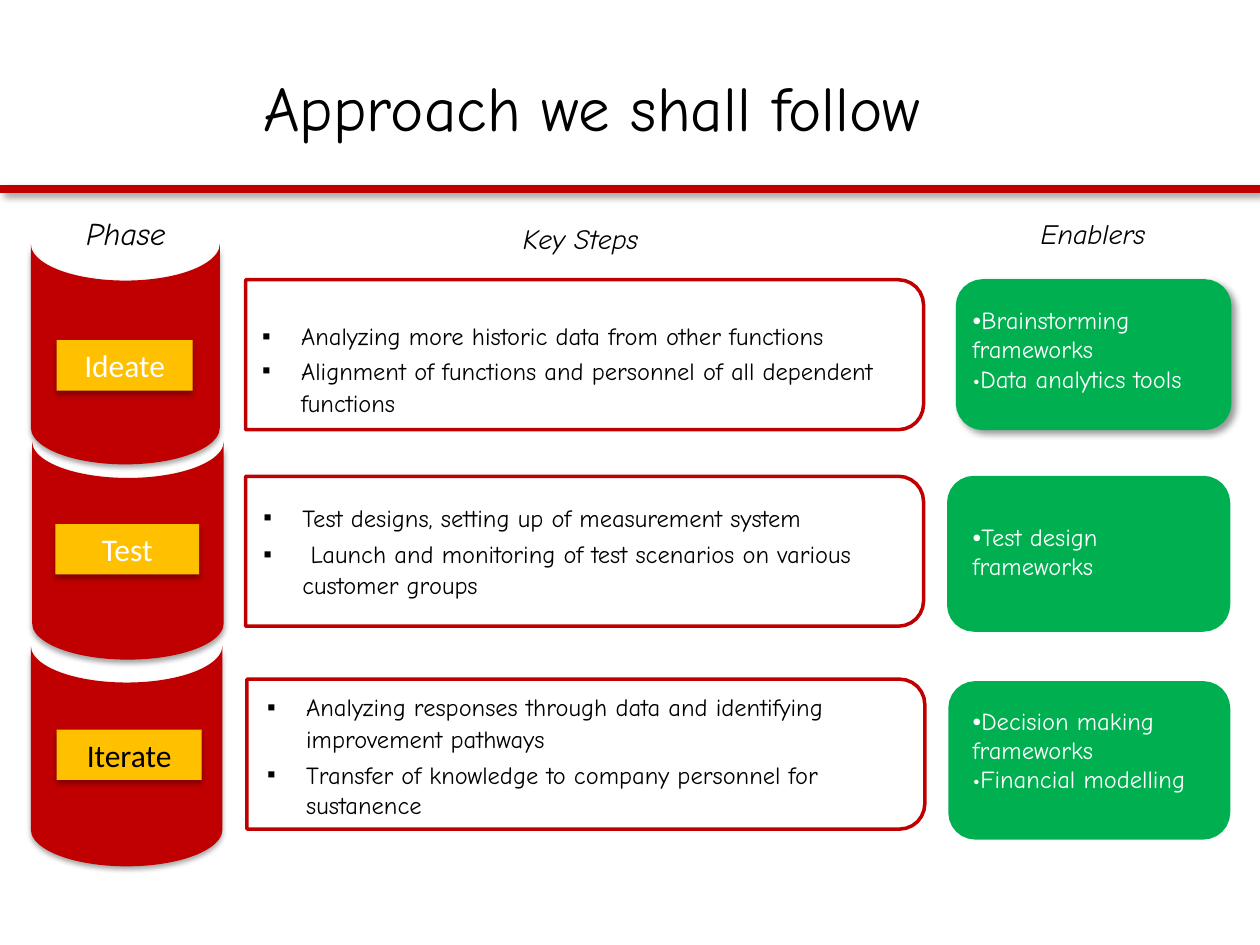
import math
from dataclasses import dataclass

import pptx
import pptx.dml.color
import pptx.enum.shapes
import pptx.enum.text
import pptx.oxml
import pptx.oxml.ns
import pptx.util
from pptx.util import Inches

RED, GREEN, AMBER, WHITE, BLACK = "C00000", "00B050", "FFC000", "FFFFFF", "000000"
HAND, PLAIN = "Comic Neue", "Calibri"
SHAPES = pptx.enum.shapes.MSO_SHAPE
ALIGN = pptx.enum.text.PP_ALIGN
ANCHOR = pptx.enum.text.MSO_ANCHOR


@dataclass
class Box:
    left: float
    top: float
    width: float
    height: float

    def lengths(self):
        return [Inches(v) for v in (self.left, self.top, self.width, self.height)]


@dataclass
class Shadow:
    alpha: int
    blur: float
    distance: float
    angle: int


@dataclass
class Step:
    text: str
    before: float
    spacing: float | None = None


@dataclass
class StepList:
    box: Box
    inset: float
    steps: list[Step]


@dataclass
class Phase:
    name: str
    name_color: str
    cylinder: Box
    label: Box
    outline: Box
    enabler: Box
    enabler_text: Box
    enabler_lines: list[str]
    enabler_shadow: Shadow | None = None


SOFT = Shadow(40, 4, 3, 45)
CYLINDER_SHADOW = Shadow(35, 3.1, 1.8, 90)
LABEL_SHADOW = Shadow(32, 3.5, 2.2, 90)

PHASES = [
    Phase("Ideate", WHITE, Box(0.12, 2.06, 1.75, 1.5), Box(0.45, 2.7, 1.08, 0.4),
          Box(1.95, 2.22, 5.38, 1.19), Box(7.6, 2.23, 2.16, 1.17), Box(7.72, 2.41, 1.99, 0.72),
          ["Brainstorming", "frameworks", "•Data analytics tools"], SOFT),
    Phase("Test", WHITE, Box(0.15, 3.61, 1.73, 1.52), Box(0.44, 4.16, 1.14, 0.4),
          Box(1.95, 3.78, 5.38, 1.19), Box(7.53, 3.79, 2.22, 1.21), Box(7.72, 4.13, 1.85, 0.49),
          ["Test design", "frameworks"]),
    Phase("Iterate", BLACK, Box(0.13, 5.24, 1.75, 1.52), Box(0.45, 5.79, 1.15, 0.4),
          Box(1.96, 5.39, 5.38, 1.19), Box(7.54, 5.42, 2.21, 1.23), Box(7.72, 5.59, 1.99, 0.72),
          ["Decision making", "frameworks", "•Financial modelling"]),
]

STEP_LISTS = [
    StepList(Box(2.06, 2.52, 5.3, 0.77), 0.03, [
        Step("Analyzing more historic data from other functions", 2.3),
        Step("Alignment of functions and personnel of all dependent functions", 1.3, 18.4)]),
    StepList(Box(2.07, 3.96, 5.11, 0.8), 0.03, [
        Step("Test designs, setting up of measurement system", 2.3),
        Step(" Launch and monitoring of test scenarios on various customer groups", 3.3, 17.5)]),
    StepList(Box(2.1, 5.46, 5.07, 0.5), 0.01, [
        Step("Analyzing responses through data and identifying improvement pathways", 0.9, 18.4)]),
    StepList(Box(2.1, 5.98, 5.07, 0.55), 0.04, [
        Step("Transfer of knowledge to company personnel for sustanence", 3, 17.5)]),
]

HEADINGS = [
    ("Enablers", Box(8.26, 1.71, 0.91, 0.28), 16),
    ("Phase", Box(0.65, 1.69, 0.7, 0.32), 18),
    ("Key Steps", Box(4.15, 1.75, 1.33, 0.28), 16),
]


def rgb(color: str):
    return pptx.dml.color.RGBColor.from_string(color)


def xml(tag: str, content: str = "", attributes: str = ""):
    namespace = pptx.oxml.ns.nsdecls("a")
    return pptx.oxml.parse_xml(f"<a:{tag} {namespace} {attributes}>{content}</a:{tag}>")


def set_shadow(shape, shadow: Shadow | None) -> None:
    content = ""
    if shadow:
        content = (
            f'<a:outerShdw blurRad="{pptx.util.Pt(shadow.blur)}" dist="{pptx.util.Pt(shadow.distance)}"'
            f' dir="{shadow.angle * 60000}" algn="tl" rotWithShape="0"><a:srgbClr val="{BLACK}">'
            f'<a:alpha val="{shadow.alpha * 1000}"/></a:srgbClr></a:outerShdw>')
    shape._element.spPr.append(xml("effectLst", content))


def paint(shape, fill=None, line=None, shadow=None) -> None:
    if fill:
        shape.fill.solid()
        shape.fill.fore_color.rgb = rgb(fill)
    else:
        shape.fill.background()
    if line:
        shape.line.color.rgb = rgb(line)
        shape.line.width = pptx.util.Pt(2)
    else:
        shape.line.fill.background()
    set_shadow(shape, shadow)


def write(para, text: str, size=14, color=BLACK, font=HAND, italic=False,
          align=ALIGN.LEFT, before=0.0, spacing=None) -> None:
    para.alignment = align
    para.space_before = pptx.util.Pt(before)
    para.line_spacing = pptx.util.Pt(spacing) if spacing else 1.0
    span = para.add_run()
    span.text = text
    span.font.size = pptx.util.Pt(size)
    span.font.name = font
    span.font.bold = False
    span.font.italic = italic
    span.font.color.rgb = rgb(color)


def prepare(shape, box: Box, inset=0.01):
    shape.left, shape.top, shape.width, shape.height = box.lengths()
    frame = shape.text_frame
    frame.word_wrap = True
    frame.auto_size = pptx.enum.text.MSO_AUTO_SIZE.NONE
    frame.vertical_anchor = ANCHOR.TOP
    frame.margin_left = frame.margin_right = frame.margin_bottom = 0
    frame.margin_top = Inches(inset)
    return frame


def next_para(frame, index: int):
    return frame.add_paragraph() if index else frame.paragraphs[0]


def draw_rounded(page, box: Box, left_radius: float, fill=None, line=None, shadow=None) -> None:
    right, bottom = box.left + box.width, box.top + box.height
    corners = [(right, box.top, -1, 1, 0.2, 270), (right, bottom, -1, -1, 0.2, 0),
               (box.left, bottom, 1, -1, left_radius, 90), (box.left, box.top, 1, 1, left_radius, 180)]
    points = []
    for x, y, inward_x, inward_y, radius, start in corners:
        for angle in range(start, start + 91, 15) if radius else [start]:
            turn = math.radians(angle)
            points.append((Inches(x + radius * (inward_x + math.cos(turn))),
                           Inches(y + radius * (inward_y + math.sin(turn)))))
    builder = page.shapes.build_freeform(*points[0], scale=1.0)
    builder.add_line_segments(points[1:], close=True)
    paint(builder.convert_to_shape(), fill, line, shadow)


def draw_step_list(holder, step_list: StepList) -> None:
    frame = prepare(holder, step_list.box, step_list.inset)
    for index, step in enumerate(step_list.steps):
        para = next_para(frame, index)
        write(para, step.text, before=step.before, spacing=step.spacing)
        properties = para._p.get_or_add_pPr()
        properties.set("marL", str(Inches(0.33)))
        properties.set("indent", str(Inches(-0.31)))
        properties.append(xml("buFont", attributes='typeface="Arial"'))
        properties.append(xml("buChar", attributes='char="▪"'))


def draw_phase(page, phase: Phase) -> None:
    draw_rounded(page, phase.outline, 0, line=RED)
    draw_rounded(page, phase.enabler, 0.2, GREEN, GREEN, phase.enabler_shadow)
    frame = prepare(page.shapes.add_textbox(*phase.enabler_text.lengths()), phase.enabler_text)
    write(frame.paragraphs[0], "•", color=WHITE, font="Arial", before=1.1)
    for index, line in enumerate(phase.enabler_lines):
        write(next_para(frame, index), line, color=WHITE, before=0 if index else 1.1)
    cylinder = page.shapes.add_shape(SHAPES.FLOWCHART_STORED_DATA, *phase.cylinder.lengths())
    cylinder.rotation = 270
    paint(cylinder, RED, shadow=CYLINDER_SHADOW)
    label = page.shapes.add_shape(SHAPES.RECTANGLE, *phase.label.lengths())
    paint(label, AMBER, shadow=LABEL_SHADOW)
    label.text_frame.vertical_anchor = ANCHOR.MIDDLE
    write(label.text_frame.paragraphs[0], phase.name, size=18, color=phase.name_color,
          font=PLAIN, align=ALIGN.CENTER)


deck = pptx.Presentation()
deck.slide_width, deck.slide_height = Inches(10), Inches(7.5)
page = deck.slides.add_slide(deck.slide_layouts.get_by_name("Comparison"))
title, *holders = page.placeholders
write(prepare(title, Box(2.09, 0.53, 6.22, 0.62)).paragraphs[0], "Approach we shall follow",
      size=36, before=1)
for holder, step_list in zip(holders, STEP_LISTS):
    draw_step_list(holder, step_list)

rule = page.shapes.add_connector(pptx.enum.shapes.MSO_CONNECTOR.STRAIGHT,
                                 0, Inches(1.5), Inches(10), Inches(1.5))
rule.line.color.rgb = rgb(RED)
rule.line.width = pptx.util.Pt(4.5)
set_shadow(rule, SOFT)

for text, box, size in HEADINGS:
    frame = prepare(page.shapes.add_textbox(*box.lengths()), box)
    write(frame.paragraphs[0], text, size=size, italic=True, before=1.1,
          align=ALIGN.CENTER if text == "Phase" else ALIGN.LEFT)
for phase in PHASES:
    draw_phase(page, phase)

deck.save("out.pptx")
